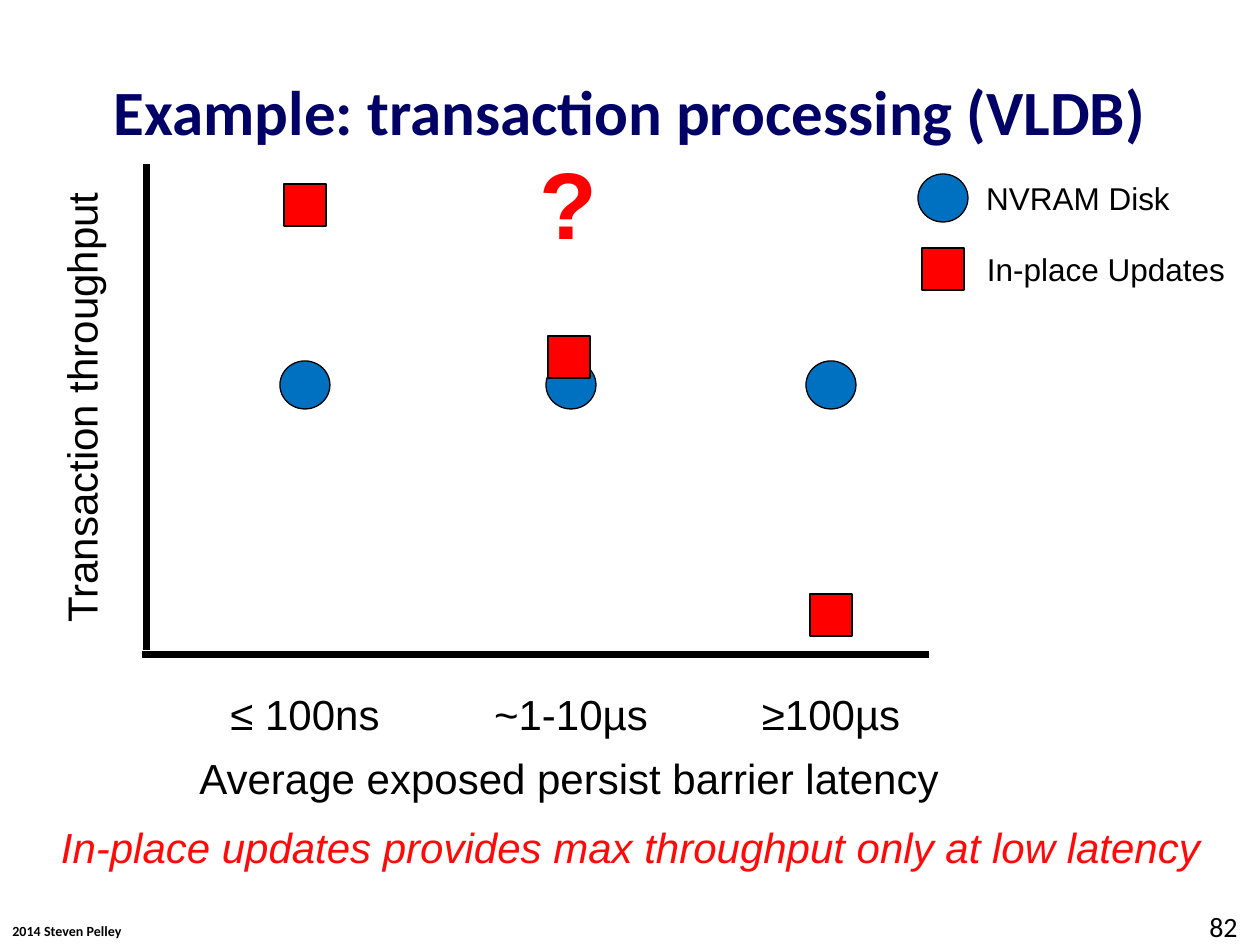
from lxml.etree import SubElement
from pptx import Presentation
from pptx.dml.color import RGBColor
from pptx.enum.shapes import MSO_CONNECTOR, MSO_SHAPE
from pptx.enum.text import MSO_ANCHOR, MSO_AUTO_SIZE, PP_ALIGN
from pptx.oxml.ns import qn
from pptx.util import Emu, Pt

PIXELS_PER_INCH = 126
BLACK, RED, BLUE, NAVY = "000000", "FF0000", "0070C0", "000066"
CIRCLE = (MSO_SHAPE.OVAL, 50, 48, BLUE)
SQUARE = (MSO_SHAPE.RECTANGLE, 42, 42, RED)


def px(length):
    """Turn a length in pixels into EMU."""
    return Emu(round(length * 914400 / PIXELS_PER_INCH))


def color(value):
    """Turn a hex string into a colour."""
    return RGBColor.from_string(value)


def write_text(frame, text, size=24, font="Arial", fill=BLACK, bold=False,
               italic=False, align=PP_ALIGN.CENTER):
    """Write one formatted paragraph into a text frame."""
    paragraph = frame.paragraphs[0]
    paragraph.alignment = align
    run = paragraph.add_run()
    run.text = text
    run.font.size = Pt(size)
    run.font.name = font
    run.font.bold = bold
    run.font.italic = italic
    run.font.color.rgb = color(fill)


def add_label(slide, text, left, top, width, height, wrap=False, rotation=0, **style):
    """Add a text box holding one label."""
    box = slide.shapes.add_textbox(px(left), px(top), px(width), px(height))
    box.rotation = rotation
    box.text_frame.word_wrap = wrap
    if not wrap:
        box.text_frame.auto_size = MSO_AUTO_SIZE.SHAPE_TO_FIT_TEXT
    write_text(box.text_frame, text, **style)


def add_axis(slide, start_x, start_y, end_x, end_y):
    """Add one thick axis line."""
    axis = slide.shapes.add_connector(
        MSO_CONNECTOR.STRAIGHT, px(start_x), px(start_y), px(end_x), px(end_y))
    axis.line.color.rgb = color(BLACK)
    axis.line.width = Pt(4)
    SubElement(axis._element.spPr, qn("a:effectLst"))


def add_marker(slide, kind, center_x, center_y):
    """Add a data marker around its centre."""
    preset, width, height, fill = kind
    marker = slide.shapes.add_shape(
        preset, px(center_x - width / 2), px(center_y - height / 2), px(width), px(height))
    marker.shadow.inherit = False
    marker.fill.solid()
    marker.fill.fore_color.rgb = color(fill)
    marker.line.color.rgb = color(BLACK)
    marker.line.width = Pt(0.75)


def add_title(slide, left, top, width, height):
    """Place and format the slide title."""
    title = slide.shapes.title
    title.left, title.top, title.width, title.height = map(px, (left, top, width, height))
    title.text_frame.vertical_anchor = MSO_ANCHOR.MIDDLE
    write_text(title.text_frame, "Example: transaction processing (VLDB)",
               size=36, font="Calibri", fill=NAVY, bold=True)


def add_plot(slide, left, top, width, height):
    """Draw the axes, their labels and the markers."""
    bottom = top + height
    add_axis(slide, left + 5, top, left + 5, bottom - 5)
    add_axis(slide, left, bottom, left + width, bottom)
    add_label(slide, "Transaction throughput", left - 291, top + 212, 460, 63, rotation=270)
    add_label(slide, "Average exposed persist barrier latency", left + 41, bottom + 91, 772, 63)
    add_label(slide, "?", left + 385, top - 25, 83, 127, size=54, fill=RED, bold=True)
    columns = [("≤ 100ns", 163, 163, 41), ("~1-10µs", 429, 427, 193), ("≥100µs", 689, 689, 451)]
    for text, circle_x, square_x, square_y in columns:
        add_label(slide, text, left + circle_x - 90, bottom + 27, 180, 63)
        add_marker(slide, CIRCLE, left + circle_x, top + 221)
        add_marker(slide, SQUARE, left + square_x, top + square_y)


def add_legend(slide, left, top):
    """List the two marker kinds with their names."""
    entries = [(CIRCLE, "NVRAM Disk", 210), (SQUARE, "In-place Updates", 266)]
    for row, (kind, text, width) in enumerate(entries):
        row_top = top + 71 * row
        add_marker(slide, kind, left + 25, row_top + 25)
        add_label(slide, text, left + 55, row_top, width, 50, size=18)


def add_footer(slide, top, width, height):
    """Add the copyright line and the slide number."""
    add_label(slide, "2014 Steven Pelley", 0, top + 13, 135, height - 13,
              size=8, font="Calibri", bold=True, align=PP_ALIGN.LEFT)
    add_label(slide, "82", width - 63, top, 63, height, wrap=True,
              size=16, font="Calibri", align=PP_ALIGN.LEFT)


def main():
    """Build and save the slide."""
    presentation = Presentation()
    presentation.slide_width, presentation.slide_height = px(1260), px(945)
    slide = presentation.slides.add_slide(presentation.slide_layouts[5])
    add_title(slide, 63, 63, 1134, 94)
    add_plot(slide, 142, 164, 787, 491)
    add_legend(slide, 918, 173)
    add_label(slide, "In-place updates provides max throughput only at low latency",
              42, 815, 1177, 63, fill="FF0909", italic=True)
    add_footer(slide, 903, 1260, 42)
    presentation.save("out.pptx")


if __name__ == "__main__":
    main()
